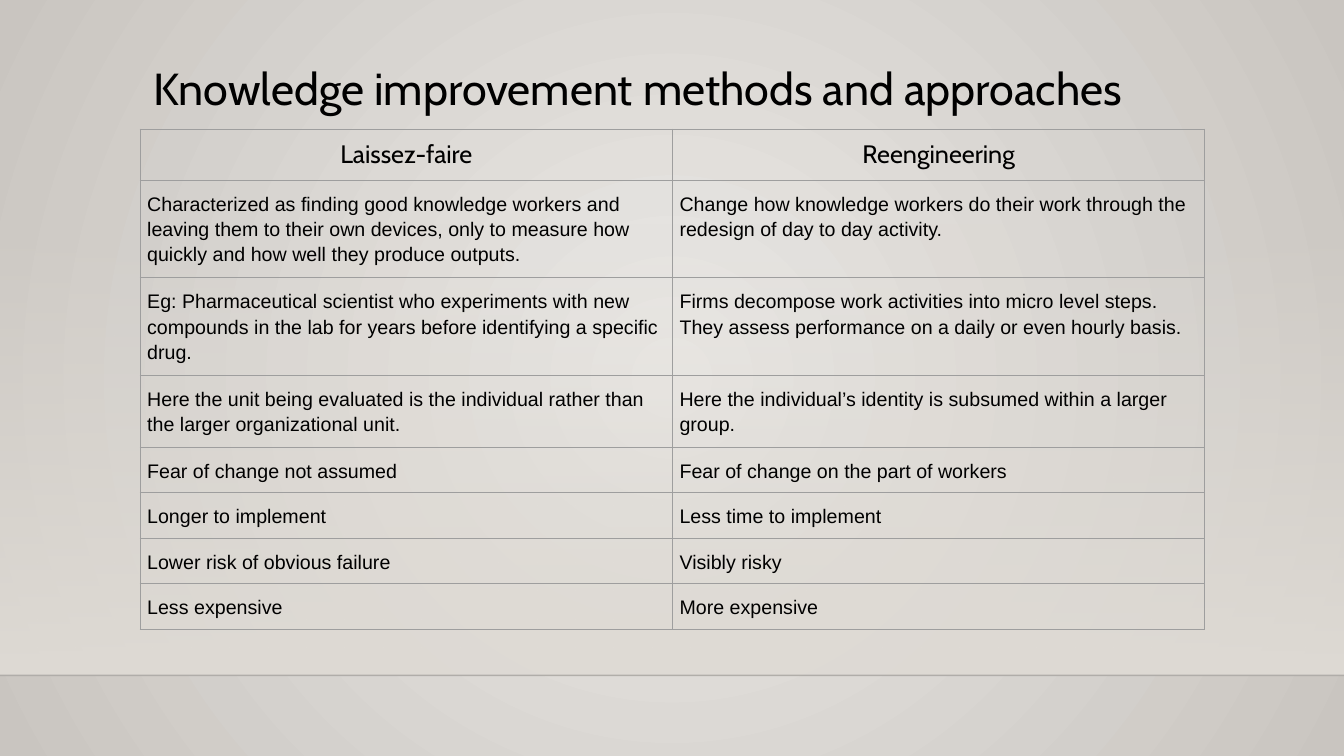
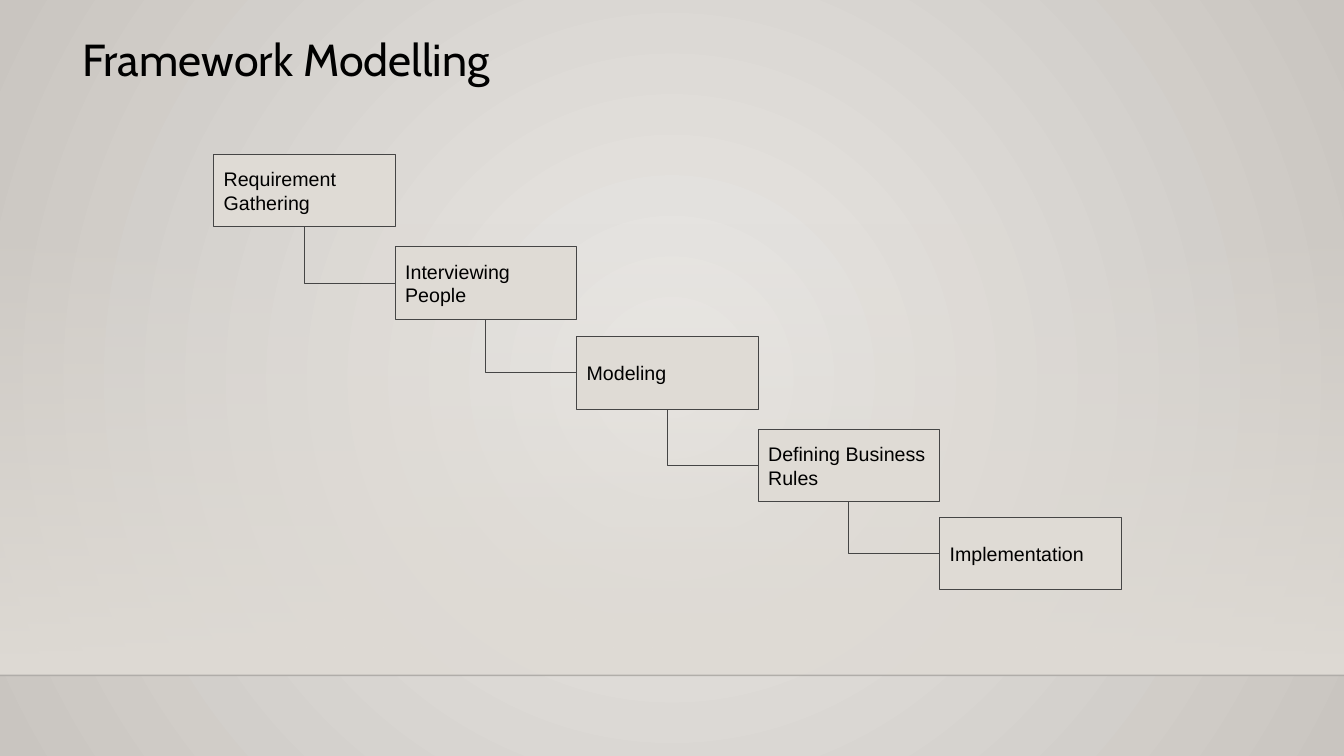
from lxml import etree
from pptx import Presentation
from pptx import util as u
from pptx.dml.color import RGBColor
from pptx.enum import shapes, text
from pptx.oxml import parse_xml
from pptx.oxml.ns import nsdecls, qn

WIDTH, HEIGHT = 13.33, 7.5
FLOOR = 6.7
BLACK, SAND = "000000", "DFDBD5"
TABLE_BORDER, STEP_LINE = "9E9E9E", "454545"
TITLE_FONT, BODY_FONT = "Cabin", "Arial"
STEP_LEFT, STEP_WIDTH, STEP_HEIGHT = 2.12, 1.8, 0.72

RADIAL = '<a:path path="circle"><a:fillToRect l="50000" t="50000" r="50000" b="50000"/></a:path>'
DOWNWARD = '<a:lin ang="5400000" scaled="0"/>'

METHODS = [
    ("Laissez-faire", "Reengineering"),
    ("Characterized as finding good knowledge workers and leaving them to their own devices, "
     "only to measure how quickly and how well they produce outputs.",
     "Change how knowledge workers do their work through the redesign of day to day activity."),
    ("Eg: Pharmaceutical scientist who experiments with new compounds in the lab for years "
     "before identifying a specific drug.",
     "Firms decompose work activities into micro level steps. "
     "They assess performance on a daily or even hourly basis."),
    ("Here the unit being evaluated is the individual rather than the larger organizational unit.",
     "Here the individual’s identity is subsumed within a larger group."),
    ("Fear of change not assumed", "Fear of change on the part of workers"),
    ("Longer to implement", "Less time to implement"),
    ("Lower risk of obvious failure", "Visibly risky"),
    ("Less expensive", "More expensive"),
]
ROW_HEIGHTS = [0.48, 0.97, 0.97, 0.71] + [0.45] * 4

STEPS = [
    ("Requirement Gathering", 1.53),
    ("Interviewing People", 2.45),
    ("Modeling", 3.34),
    ("Defining Business Rules", 4.26),
    ("Implementation", 5.13),
]


def color(value):
    return RGBColor.from_string(value)


def inches(*lengths):
    return [u.Inches(length) for length in lengths]


def set_gradient(properties, stops, direction):
    stop_xml = "".join(
        f'<a:gs pos="{position * 1000}"><a:srgbClr val="{value}">'
        f'<a:alpha val="{opacity * 1000}"/></a:srgbClr></a:gs>'
        for position, value, opacity in stops)
    gradient = parse_xml(f'<a:gradFill {nsdecls("a")} rotWithShape="1">'
                         f'<a:gsLst>{stop_xml}</a:gsLst>{direction}</a:gradFill>')
    properties.replace(properties.xpath("a:solidFill")[0], gradient)


def set_line(line, value, width):
    line.color.rgb = color(value)
    line.width = u.Pt(width)


def set_text(frame, content, font, size, spacing=None, align=text.PP_ALIGN.LEFT):
    frame.word_wrap = True
    frame.text = content
    paragraph = frame.paragraphs[0]
    paragraph.alignment = align
    if spacing:
        paragraph.line_spacing = spacing
    for run in paragraph.runs:
        run.font.name = font
        run.font.size = u.Pt(size)
        run.font.color.rgb = color(BLACK)


def set_insets(holder, horizontal, vertical):
    holder.margin_left = holder.margin_right = u.Inches(horizontal)
    holder.margin_top = holder.margin_bottom = u.Inches(vertical)


def add_box(slide, left, top, width, height):
    box = slide.shapes.add_shape(shapes.MSO_SHAPE.RECTANGLE, *inches(left, top, width, height))
    box.shadow.inherit = False
    box.fill.solid()
    box.fill.fore_color.rgb = color(SAND)
    return box


def add_line(slide, kind, start, end, value, width):
    line = slide.shapes.add_connector(kind, *inches(*start, *end))
    set_line(line.line, value, width)
    etree.SubElement(line.element.spPr, qn("a:effectLst"))
    return line


def style_master(presentation, slide):
    master = presentation.slide_master
    master.background.fill.solid()
    set_gradient(master.element.xpath("p:cSld/p:bg/p:bgPr")[0],
                 [(0, "EBE9E6", 100), (100, "C9C5C0", 100)], RADIAL)
    wall = add_box(slide, 0, 2.21, WIDTH, FLOOR - 2.21)
    wall.line.fill.background()
    set_gradient(wall.element.spPr, [(0, SAND, 0), (100, SAND, 100)], DOWNWARD)
    edge = add_line(slide, shapes.MSO_CONNECTOR.STRAIGHT, (0, FLOOR), (WIDTH, FLOOR), "000001", 1)
    edge_color = edge.element.xpath(".//a:ln/a:solidFill/a:srgbClr")[0]
    etree.SubElement(edge_color, qn("a:alpha")).set("val", "20000")
    for number, shape in enumerate((wall, edge), start=100):
        shape.element.xpath(".//p:cNvPr")[0].set("id", str(number))
        master.shapes.element.append(shape.element)


def add_title(slide, content, left, top, width):
    title = slide.shapes.add_textbox(*inches(left, top, width, 0.72))
    set_insets(title.text_frame, 0.1, 0.1)
    set_text(title.text_frame, content, TITLE_FONT, 32, spacing=0.9)


def set_borders(cell):
    properties = cell._tc.get_or_add_tcPr()
    for index, side in enumerate("LRTB"):
        properties.insert(index, parse_xml(
            f'<a:ln{side} {nsdecls("a")} w="{u.Pt(0.75)}"><a:solidFill>'
            f'<a:srgbClr val="{TABLE_BORDER}"/></a:solidFill></a:ln{side}>'))


def add_comparison(slide, rows, left, top, column_width):
    columns = len(rows[0])
    frame = slide.shapes.add_table(
        len(rows), columns, *inches(left, top, columns * column_width, sum(ROW_HEIGHTS)))
    table = frame.table
    table.first_row = table.horz_banding = False
    for column in table.columns:
        column.width = u.Inches(column_width)
    for row_index, (row, height) in enumerate(zip(rows, ROW_HEIGHTS)):
        table.rows[row_index].height = u.Inches(height)
        for column_index, content in enumerate(row):
            cell = table.cell(row_index, column_index)
            cell.fill.background()
            set_borders(cell)
            if row_index == 0:
                set_insets(cell, 0.1, 0.1)
                set_text(cell.text_frame, content, TITLE_FONT, 18, align=text.PP_ALIGN.CENTER)
            else:
                set_insets(cell, 0.07, 0.1)
                set_text(cell.text_frame, content, BODY_FONT, 14, spacing=1.15)


def add_step(slide, content, column, top):
    step = add_box(slide, STEP_LEFT + column * STEP_WIDTH, top, STEP_WIDTH, STEP_HEIGHT)
    set_line(step.line, STEP_LINE, 0.75)
    frame = step.text_frame
    frame.vertical_anchor = text.MSO_ANCHOR.MIDDLE
    set_insets(frame, 0.1, 0.1)
    set_text(frame, content, BODY_FONT, 14)
    return step


def join_steps(slide, upper, lower):
    elbow = add_line(slide, shapes.MSO_CONNECTOR.ELBOW, (0, 0), (1, 1), STEP_LINE, 0.75)
    elbow.begin_connect(upper, 2)
    elbow.end_connect(lower, 1)
    across, down = elbow.width, elbow.height
    shift = (across - down) // 2
    elbow.left, elbow.top = elbow.left + shift, elbow.top - shift
    elbow.width, elbow.height = down, across
    properties = elbow.element.spPr
    properties.xfrm.set("rot", "16200000")
    properties.xfrm.set("flipH", "1")
    properties.xpath("a:prstGeom")[0].set("prst", "bentConnector2")


def add_staircase(slide, steps):
    boxes = [add_step(slide, content, column, top)
             for column, (content, top) in enumerate(steps)]
    for upper, lower in zip(boxes, boxes[1:]):
        join_steps(slide, upper, lower)


def main():
    presentation = Presentation()
    presentation.slide_width, presentation.slide_height = inches(WIDTH, HEIGHT)
    blank = presentation.slide_layouts[6]

    methods = presentation.slides.add_slide(blank)
    style_master(presentation, methods)
    add_comparison(methods, METHODS, 1.39, 1.28, 5.28)
    add_title(methods, "Knowledge improvement methods and approaches", 1.42, 0.56, 10.5)

    framework = presentation.slides.add_slide(blank)
    add_title(framework, "Framework Modelling", 0.72, 0.27, 11.33)
    add_staircase(framework, STEPS)

    presentation.save("out.pptx")


if __name__ == "__main__":
    main()
